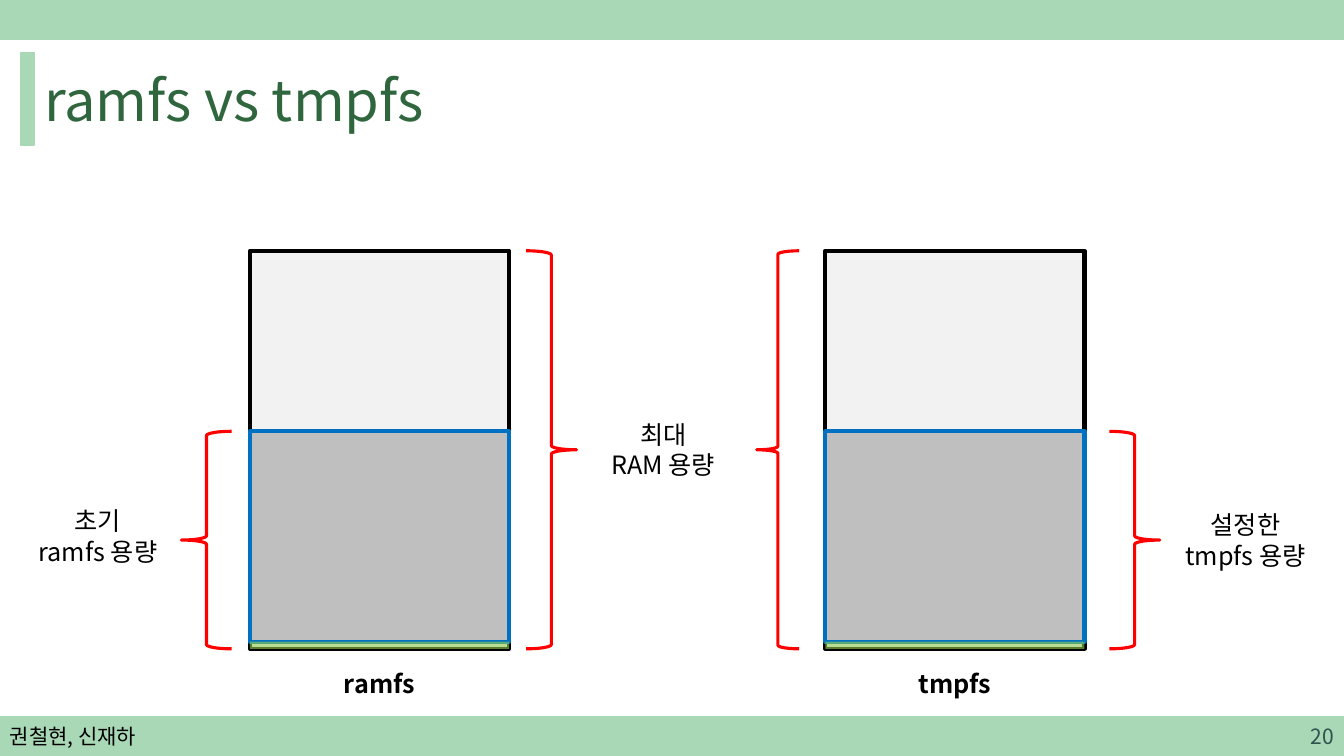
from lxml.etree import SubElement
from pptx import Presentation
from pptx.dml.color import RGBColor
from pptx.enum.shapes import MSO_SHAPE as Preset
from pptx.enum.text import MSO_ANCHOR as Anchor, PP_ALIGN as Align
from pptx.oxml.ns import qn
from pptx.util import Cm, Pt

FONT = "Noto Sans CJK KR"
BLACK = RGBColor(0x00, 0x00, 0x00)
MINT = RGBColor(0xA9, 0xD8, 0xB7)
TITLE_GREEN = RGBColor(0x2F, 0x66, 0x3E)
NUMBER_GREEN = RGBColor(0x30, 0x52, 0x50)
PALE_GRAY = RGBColor(0xF2, 0xF2, 0xF2)
GRAY = RGBColor(0xBF, 0xBF, 0xBF)
BLUE = RGBColor(0x00, 0x70, 0xC0)
LIME = RGBColor(0x92, 0xD0, 0x50)
RED = RGBColor(0xFF, 0x00, 0x00)

SLIDE_WIDTH, SLIDE_HEIGHT = 33.87, 19.05
BAND_HEIGHT = 0.98
MEMORY_WIDTH, MEMORY_HEIGHT = 6.53, 10.03
FREE_HEIGHT, STRIP_HEIGHT = 4.55, 0.18
USED_HEIGHT = MEMORY_HEIGHT - FREE_HEIGHT
LABEL_HEIGHT = 1.8


def add_shape(slide, preset, box, fill=None, line=None, line_width=1):
    shape = slide.shapes.add_shape(preset, *map(Cm, box))
    shape.shadow.inherit = False
    if fill is None:
        shape.fill.background()
    else:
        shape.fill.solid()
        shape.fill.fore_color.rgb = fill
    if line is None:
        shape.line.fill.background()
    else:
        shape.line.color.rgb = line
        shape.line.width = Pt(line_width)
    return shape


def add_text(slide, box, text, size=18, color=BLACK, align=Align.CENTER,
             anchor=Anchor.TOP, bold=False):
    text_frame = slide.shapes.add_textbox(*map(Cm, box)).text_frame
    text_frame.word_wrap = True
    text_frame.vertical_anchor = anchor
    text_frame.text = text
    for paragraph in text_frame.paragraphs:
        paragraph.alignment = align
        for run in paragraph.runs:
            run.font.name = FONT
            run.font.size = Pt(size)
            run.font.bold = bold
            run.font.color.rgb = color
            east_asian = SubElement(run.font._element, qn("a:ea"))
            east_asian.set("typeface", FONT)


def add_header(slide, left, top, width):
    add_shape(slide, Preset.RECTANGLE, (left, top, width, BAND_HEIGHT), MINT, MINT)
    add_shape(slide, Preset.RECTANGLE, (left + 0.52, top + 1.32, 0.34, 2.34), MINT, MINT)
    add_text(slide, (left + 0.86, top + 1.32, width - 1.38, 2.34), "ramfs vs tmpfs",
             40, TITLE_GREEN, Align.LEFT, Anchor.MIDDLE)


def add_footer(slide, left, top, width):
    add_shape(slide, Preset.RECTANGLE, (left, top, width, BAND_HEIGHT), MINT, MINT)
    note_width = 7.62
    add_text(slide, (left, top, note_width, BAND_HEIGHT), "권철현, 신재하",
             15, BLACK, Align.LEFT, Anchor.MIDDLE)
    add_text(slide, (left + width - note_width, top, note_width, BAND_HEIGHT), "20",
             15, NUMBER_GREEN, Align.RIGHT, Anchor.MIDDLE)


def add_memory(slide, left, top, name):
    used_top = top + FREE_HEIGHT
    strip_top = top + MEMORY_HEIGHT - STRIP_HEIGHT
    add_shape(slide, Preset.RECTANGLE, (left, top, MEMORY_WIDTH, MEMORY_HEIGHT),
              PALE_GRAY, BLACK, 3)
    add_shape(slide, Preset.RECTANGLE,
              (left, used_top, MEMORY_WIDTH, USED_HEIGHT - STRIP_HEIGHT), GRAY, BLUE, 3)
    strip = add_shape(slide, Preset.RECTANGLE,
                      (left, strip_top, MEMORY_WIDTH, STRIP_HEIGHT), LIME)
    color = strip.fill._xPr.find(qn("a:solidFill"))[0]
    SubElement(color, qn("a:alpha")).set("val", "60000")
    add_text(slide, (left, top + MEMORY_HEIGHT + 0.36, MEMORY_WIDTH, 1.02), name, bold=True)


def add_brace(slide, preset, left, top, width, height):
    add_shape(slide, preset, (left, top, width, height), line=RED, line_width=2.25)


def add_comparison(slide, left, top):
    tmpfs_left = left + 14.5
    used_top = top + FREE_HEIGHT
    add_memory(slide, left, top, "ramfs")
    add_memory(slide, tmpfs_left, top, "tmpfs")

    add_brace(slide, Preset.LEFT_BRACE, left - 1.73, used_top, 1.27, USED_HEIGHT)
    add_brace(slide, Preset.RIGHT_BRACE, left + 6.96, top, 1.27, MEMORY_HEIGHT)
    add_brace(slide, Preset.LEFT_BRACE, tmpfs_left - 1.73, top, 1.07, MEMORY_HEIGHT)
    add_brace(slide, Preset.RIGHT_BRACE, tmpfs_left + 7.16, used_top, 1.27, USED_HEIGHT)

    add_text(slide, (left - 5.94, top + 6.3, 4.22, LABEL_HEIGHT), "초기\nramfs 용량")
    add_text(slide, (left + 8.69, top + 4.12, 3.45, LABEL_HEIGHT), "최대\nRAM 용량")
    add_text(slide, (tmpfs_left + 8.48, top + 6.4, 4.22, LABEL_HEIGHT), "설정한\ntmpfs 용량")


def main():
    presentation = Presentation()
    presentation.slide_width = Cm(SLIDE_WIDTH)
    presentation.slide_height = Cm(SLIDE_HEIGHT)
    slide = presentation.slides.add_slide(presentation.slide_layouts[6])
    add_header(slide, 0, 0, SLIDE_WIDTH)
    add_footer(slide, 0, SLIDE_HEIGHT - BAND_HEIGHT, SLIDE_WIDTH)
    add_comparison(slide, 6.3, 6.32)
    presentation.save("out.pptx")


if __name__ == "__main__":
    main()
